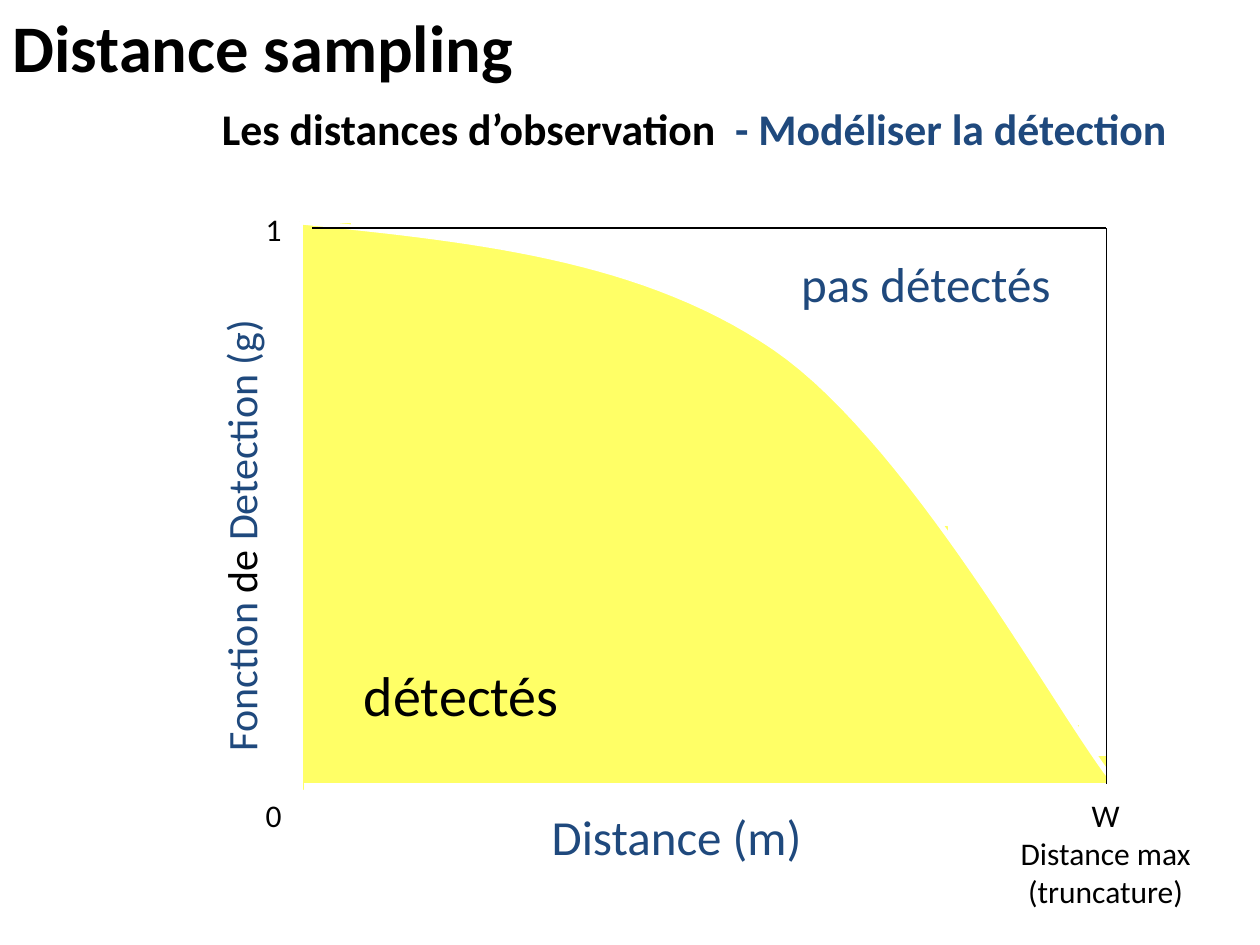
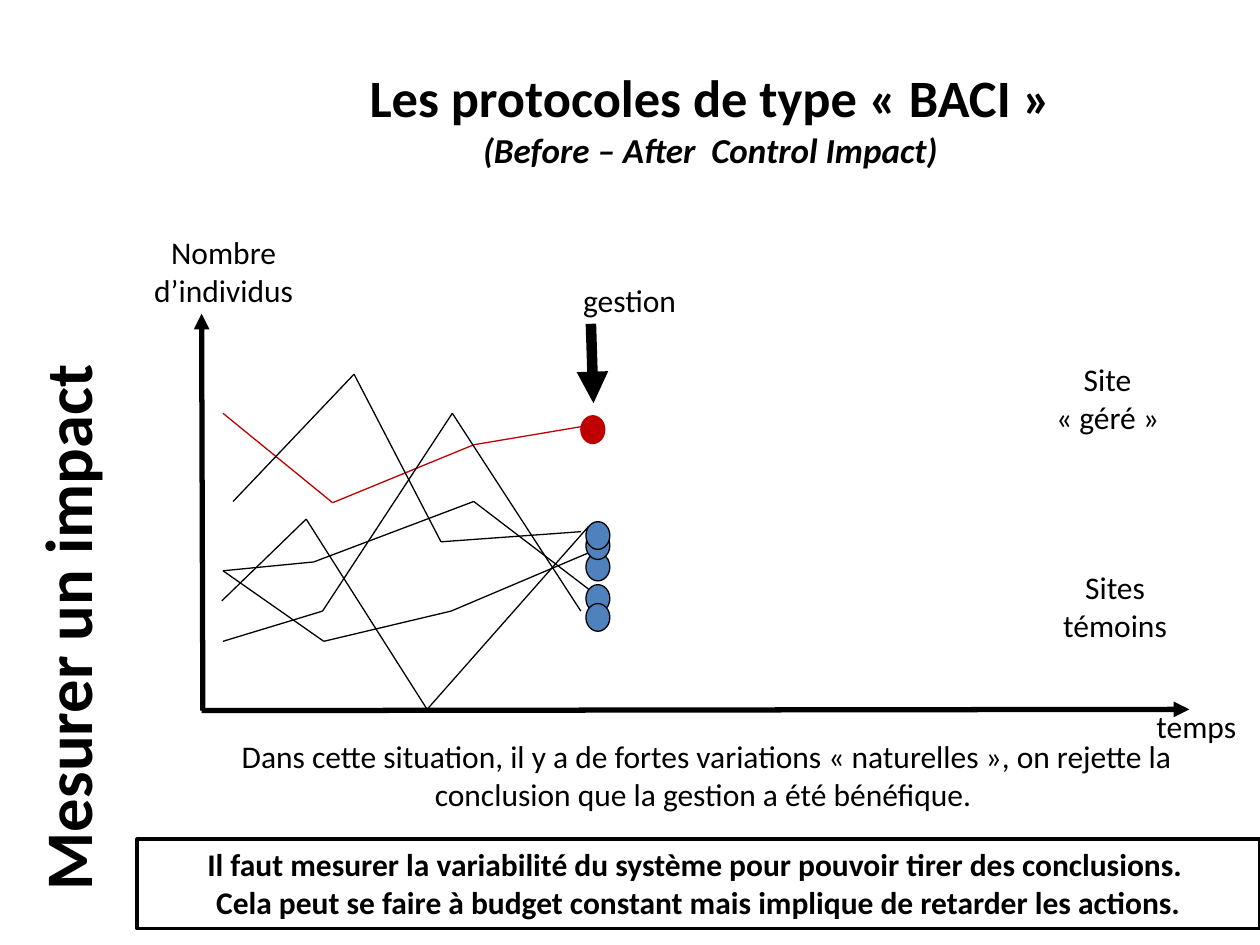
from itertools import pairwise

from lxml import etree
from pptx import Presentation
from pptx import util as u
from pptx.dml.color import RGBColor
from pptx.enum import shapes, text
from pptx.oxml.ns import qn

# Shared look: the grid has 100 columns and 75 rows
SLIDE_WIDTH, SLIDE_HEIGHT = u.Inches(10), u.Inches(7.5)
COLUMN, ROW = SLIDE_WIDTH / 100, SLIDE_HEIGHT / 75
COLORS = {
    "ink": "000000",
    "paper": "FFFFFF",
    "navy": "1F497D",
    "yellow": "FFFF66",
    "red": "C00000",
    "blue": "4F81BD",
}
FONT = "Calibri"
TITLE = {"size": u.Pt(38), "bold": True}
LABEL = {"size": u.Pt(18)}
LEFT, CENTER = text.PP_ALIGN.LEFT, text.PP_ALIGN.CENTER


def color(name):
    return RGBColor.from_string(COLORS[name])


def cells(column, row):
    return round(column * COLUMN), round(row * ROW)


def shift(box, part):
    """Place a part, given from the corner of a box, on the slide."""
    return (box[0] + part[0], box[1] + part[1], *part[2:])


def write(shape, lines, style, align=CENTER, wrap=False,
          anchor=text.MSO_ANCHOR.TOP):
    """Fill a shape; a line is a string or a list of (words, changes)."""
    frame = shape.text_frame
    frame.word_wrap = wrap
    frame.auto_size = text.MSO_AUTO_SIZE.NONE
    frame.vertical_anchor = anchor
    for index, line in enumerate(lines):
        para = frame.add_paragraph() if index else frame.paragraphs[0]
        para.alignment = align
        for words, changes in [(line, {})] if isinstance(line, str) else line:
            span = para.add_run()
            span.text = words
            values = {"name": FONT, "color": "ink", **style, **changes}
            span.font.color.rgb = color(values.pop("color"))
            for key, value in values.items():
                setattr(span.font, key, value)


def add_text(page, box, lines, style=LABEL, rotation=0, **layout):
    shape = page.shapes.add_textbox(*cells(*box[:2]), *cells(*box[2:]))
    shape.rotation = rotation
    write(shape, lines, style, **layout)


def add_line(page, start, end, name="ink", width=0.75, arrow=False):
    line = page.shapes.add_connector(
        shapes.MSO_CONNECTOR.STRAIGHT, *cells(*start), *cells(*end))
    line.line.color.rgb = color(name)
    line.line.width = u.Pt(width)
    if arrow:
        outline = line.line._get_or_add_ln()
        etree.SubElement(outline, qn("a:tailEnd"), type="triangle")
    etree.SubElement(line._element.spPr, qn("a:effectLst"))


def paint(shape, fill, edge, width):
    shape.shadow.inherit = False
    if fill:
        shape.fill.solid()
        shape.fill.fore_color.rgb = color(fill)
    else:
        shape.fill.background()
    shape.line.color.rgb = color(edge)
    shape.line.width = u.Pt(width)


def add_shape(page, kind, box, fill, edge, width=0.75):
    shape = page.shapes.add_shape(kind, *cells(*box[:2]), *cells(*box[2:]))
    paint(shape, fill, edge, width)
    return shape


def add_page(deck, title, box, rotation=0):
    """Title-only page with its title moved into the given box."""
    page = deck.slides.add_slide(deck.slide_layouts[5])
    holder = page.shapes.title
    holder.left, holder.top = cells(*box[:2])
    holder.width, holder.height = cells(*box[2:])
    holder.rotation = rotation
    write(holder, [title], TITLE, align=LEFT)
    return page


# Blocks that fill the area under the curve, from the corner of the plot
DETECTED_BLOCKS = [
    (0, 0, 3.7, 45), (3, 24.2, 48.1, 20.8), (3, 2.5, 15.6, 25),
    (16.3, 10, 18.5, 24.2), (50.4, 35, 6.7, 10), (44.5, 40, 17, 5),
    (54.8, 36.7, 3, 4.2), (61.5, 42.5, 2.2, 2.5),
]
UPPER_CURVE = [(-0.3, 0), (13.2, 1.4), (26.7, 2.7), (37.4, 10)]
LOWER_CURVE = [(37.4, 10), (48.2, 17.4), (59.7, 38.5), (64.1, 44.2)]


def bezier(points, steps=30):
    for step in range(steps + 1):
        t = step / steps
        weights = ((1 - t) ** 3, 3 * t * (1 - t) ** 2,
                   3 * t ** 2 * (1 - t), t ** 3)
        yield tuple(sum(w * point[axis] for w, point in zip(weights, points))
                    for axis in (0, 1))


def detection_plot(page, box):
    width, height = box[2:]
    navy = {"size": u.Pt(28), "color": "navy"}
    # Detected area
    for block in DETECTED_BLOCKS:
        add_shape(page, shapes.MSO_SHAPE.RECTANGLE, shift(box, block),
                  "yellow", "yellow", 1)
    add_text(page, shift(box, (3.8, 34.3, 48.1, 6.3)), ["détectés"],
             {"size": u.Pt(32)}, align=LEFT, wrap=True)

    # White edges, then the area that is not detected
    for start, end in (((0, 0), (width, 0)),
                       ((width, height - 0.8), (width, 0))):
        add_line(page, shift(box, start), shift(box, end), "paper", 1)
    add_text(page, shift(box, (38.5, 2, 29.2, 5.7)), ["pas détectés"],
             navy, align=LEFT, wrap=True)

    # Curve
    curve = [*bezier(UPPER_CURVE), *bezier(LOWER_CURVE)]
    corners = [cells(*shift(box, point)) for point in curve]
    builder = page.shapes.build_freeform(*corners[0], scale=1.0)
    builder.add_line_segments(corners[1:], close=False)
    paint(builder.convert_to_shape(), "yellow", "paper", 3)
    add_line(page, shift(box, (0, height)), shift(box, (69.7, height)),
             "paper", 6)

    # Axis titles
    add_text(page, shift(box, (17.4, 45.9, 24.4, 5.7)), ["Distance (m)"],
             navy, wrap=True)
    add_text(page, shift(box, (-27.9, 17.6, 45.8, 5)),
             [[("Fonction", {}), (" de ", {"color": "ink"}),
               ("Detection (g)", {})]],
             {"size": u.Pt(24), "color": "navy"}, rotation=270,
             align=LEFT, wrap=True)

    # Frame
    frame = [(0.7, 0.5), (63.7, 0.5), (63.7, 44.6)]
    for start, end in pairwise(frame):
        add_line(page, shift(box, start), shift(box, end))

    # Axis ends
    for words, top in (("1", -1.4), ("0", 45.1)):
        add_text(page, shift(box, (-4, top, 3.3, 4)), [words], align=LEFT)
    add_text(page, shift(box, (55.8, 45.1, 15.7, 10.1)),
             ["W", "Distance max", "(truncature)"])


def distance_page(deck):
    page = add_page(deck, "Distance sampling", (0, 0, 42.1, 7.4))
    add_line(page, (17.8, 8.7), (17.8, 58.7), "paper", 6)
    add_text(page, (9.4, 3.9, 91.4, 12.5),
             [[("Les distances d’observation ", {}),
               (" - Modéliser la détection", {"color": "navy"})]],
             {"size": u.Pt(25), "bold": True}, wrap=True,
             anchor=text.MSO_ANCHOR.MIDDLE)
    detection_plot(page, (24.1, 17.6, 64.5, 45))


# Site counts before management, from the corner of the plot
MANAGED_SITE = [(1.7, 7.9), (10.4, 15), (21.6, 10.4), (31.7, 8.7)]
CONTROL_SITES = [
    [(1.6, 22.8), (8.3, 16.3), (17.9, 31.4), (30.7, 16.9)],
    [(1.7, 26), (9.6, 23.6), (19.9, 7.9), (30.1, 23.6)],
    [(2.5, 14.9), (12.1, 4.8), (19, 18.1), (30.1, 17.3)],
    [(1.7, 20.4), (9.7, 26), (19.8, 23.6), (30.9, 18.9)],
    [(1.7, 20.4), (8.9, 19.7), (21.6, 14.9), (30.9, 22)],
]
CONTROL_DOT_TOPS = [19, 21.5, 23, 17.3, 16.5]


def impact_plot(page, box):
    width, height = box[2:]
    # Axes
    for start, end in (((0.1, height), (0, 0)),
                       ((0, height), (width, height - 0.1))):
        add_line(page, shift(box, start), shift(box, end),
                 width=3, arrow=True)

    # Series
    series = [(MANAGED_SITE, "red")] + [(s, "ink") for s in CONTROL_SITES]
    for points, name in series:
        for start, end in pairwise(points):
            add_line(page, shift(box, start), shift(box, end), name)

    # State of each site at the time of management
    dots = [(30.1, 8.1, "red", "red")]
    dots += [(30.5, top, "blue", "ink") for top in CONTROL_DOT_TOPS]
    for left, top, fill, edge in dots:
        add_shape(page, shapes.MSO_SHAPE.OVAL,
                  shift(box, (left, top, 1.9, 2.2)), fill, edge)
    add_line(page, shift(box, (30.9, 0.8)), shift(box, (31.1, 7.1)),
             width=6, arrow=True)

    # Labels
    for part, lines, align in (
        ((-5.1, -6.9, 13.7, 7), ["Nombre", "d’individus"], CENTER),
        ((29.3, -3.1, 10.1, 4), ["gestion"], LEFT),
        ((66.3, 3.2, 11.2, 7), ["Site", "« géré »"], CENTER),
        ((67.1, 19.7, 10.8, 7), ["Sites", "témoins"], CENTER),
        ((74.8, 30.7, 8.8, 4), ["temps"], LEFT),
    ):
        add_text(page, shift(box, part), lines, align=align)


def impact_page(deck):
    page = add_page(deck, "Mesurer un impact", (-19.3, 43.4, 49.1, 7.4), 270)
    subtitle = {"size": u.Pt(20), "italic": True}
    add_text(page, (28.1, 4.7, 56.6, 9.4),
             ["Les protocoles de type « BACI »",
              [("(Before – After ", subtitle),
               (" Control Impact)", subtitle)]],
             {"size": u.Pt(30), "bold": True})
    impact_plot(page, (16, 24.9, 78.4, 31.5))

    # Conclusions
    add_text(page, (14.1, 58, 84, 7),
             ["Dans cette situation, il y a de fortes variations "
              "« naturelles », on rejette la conclusion que la gestion "
              "a été bénéfique. "], wrap=True)
    banner = add_shape(page, shapes.MSO_SHAPE.RECTANGLE,
                       (10.9, 66.6, 89.1, 7.1), None, "ink", 2.25)
    write(banner,
          ["Il faut mesurer la variabilité du système pour pouvoir tirer "
           "des conclusions. ",
           "Cela peut se faire à budget constant mais implique de retarder "
           "les actions."],
          {**LABEL, "bold": True}, wrap=True)


def main():
    deck = Presentation()
    deck.slide_width, deck.slide_height = SLIDE_WIDTH, SLIDE_HEIGHT
    distance_page(deck)
    impact_page(deck)
    deck.save("out.pptx")


if __name__ == "__main__":
    main()
